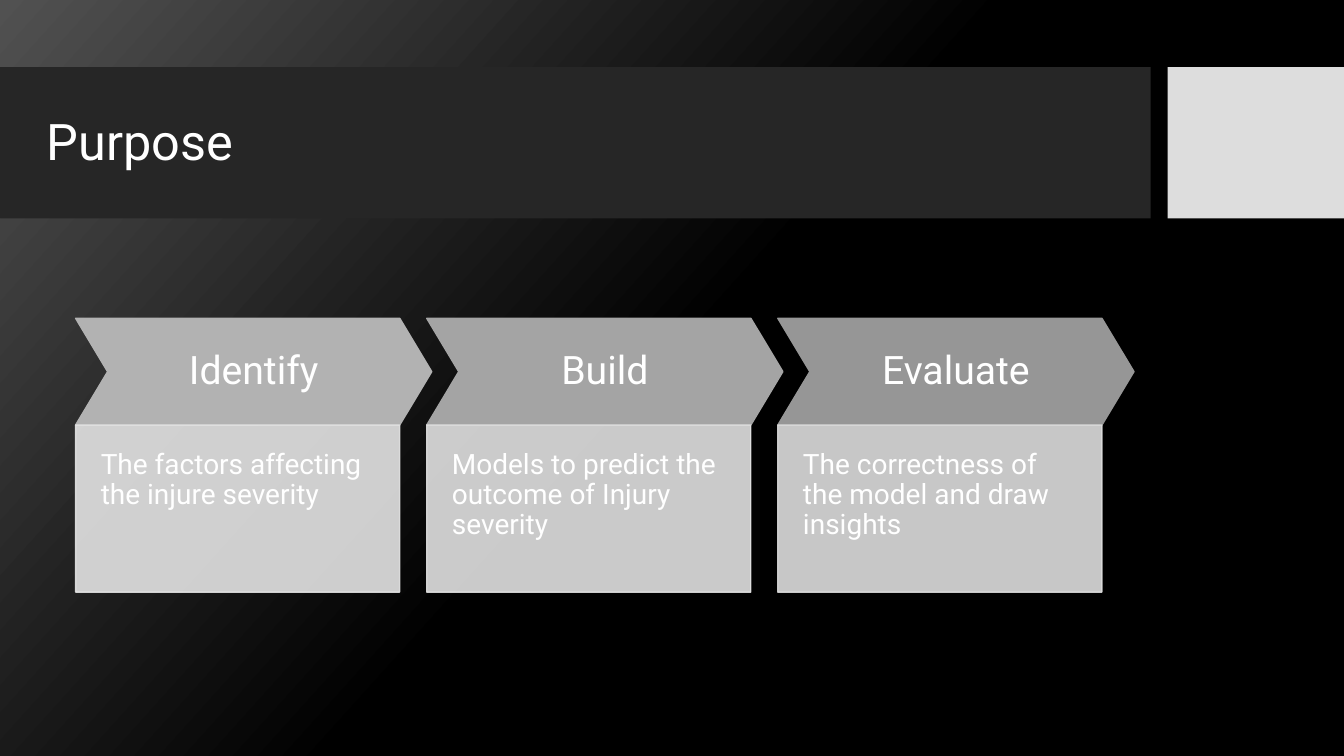
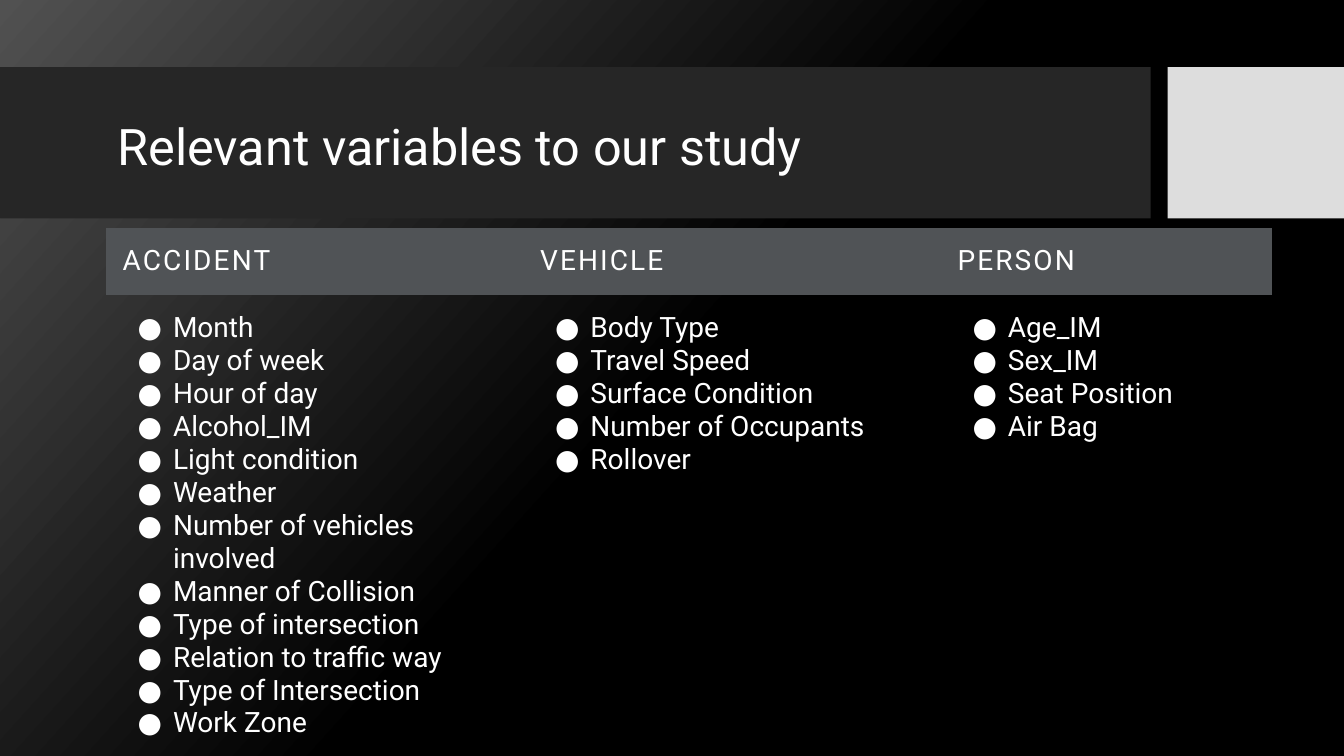
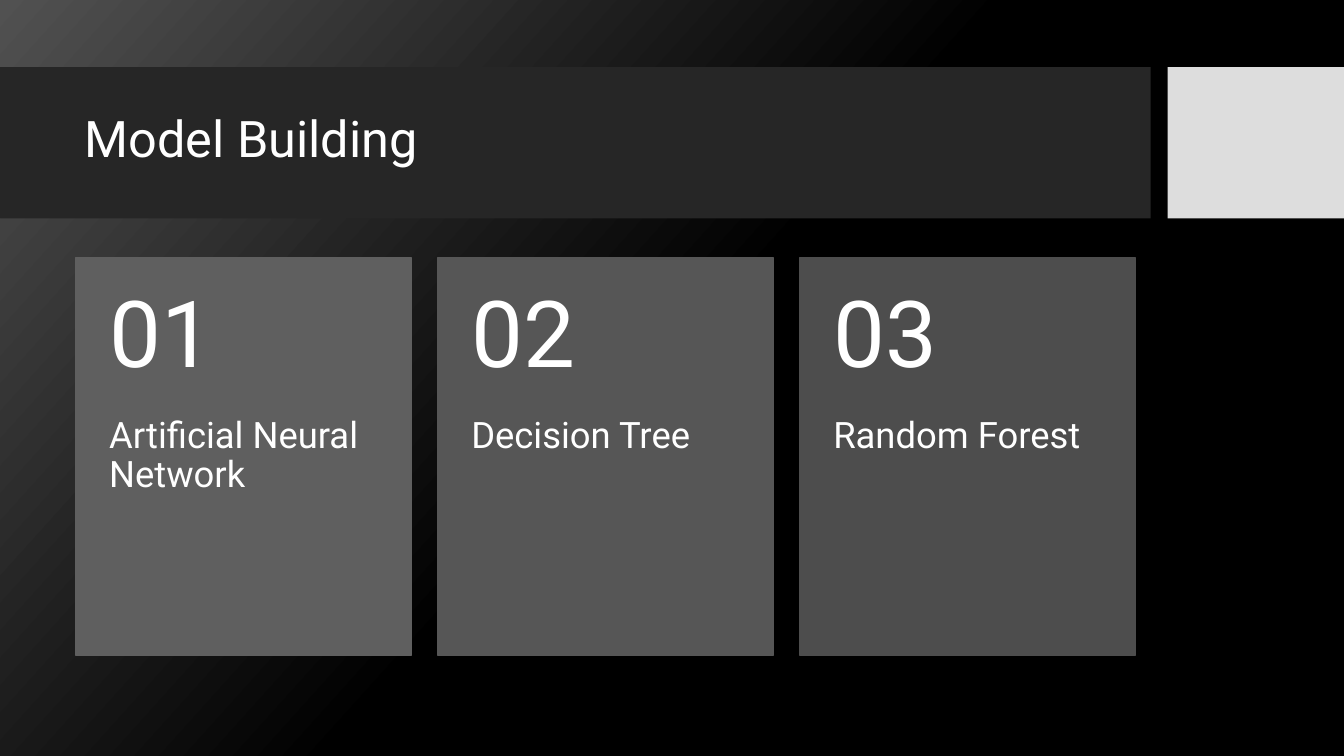
from dataclasses import dataclass

from lxml.etree import SubElement
from pptx import Presentation
from pptx.dml.color import RGBColor as RGB
from pptx.enum.shapes import MSO_SHAPE as SHAPE
from pptx.enum.text import MSO_ANCHOR as ANCHOR, PP_ALIGN as ALIGN
from pptx.oxml.ns import qn
from pptx.util import Emu, Inches, Pt


@dataclass(frozen=True)
class Theme:
    """Colours, type and grid shared by all slides."""
    font: str = "Roboto"
    text: str = "FFFFFF"
    glow: str = "515151"
    backdrop: str = "000000"
    band: str = "262626"
    accent: str = "DDDDDD"
    table_head: str = "505356"
    steps: tuple = ("B2B2B2", "A4A4A4", "969696")
    details: tuple = ("E4E4E4", "E1E1E1", "DDDDDD")
    cards: tuple = ("5F5F5F", "565656", "4D4D4D")
    title_size: int = 36
    step_size: int = 28
    body_size: int = 20
    label_size: int = 26
    number_size: int = 66
    columns: int = 160
    rows: int = 90
    plain_table: str = "{2D5ABB26-0587-4C30-8999-92F81FD0307C}"


def grid(*cells):
    """Turn grid cells, twelve to the inch, into lengths."""
    return [Emu(round(cell * Inches(1) / 12)) for cell in cells]


class Deck:
    """Draws the elements of the deck on its current slide."""

    def __init__(self, theme):
        self.theme = theme
        self.show = Presentation()
        self.show.slide_width, self.show.slide_height = grid(theme.columns, theme.rows)
        self.slide = None

    def new_slide(self, title, left, middle):
        """Start a slide with its backdrop, band and title."""
        theme = self.theme
        self.slide = self.show.slides.add_slide(self.show.slide_layouts[6])
        fill = self.slide.background.fill
        fill.gradient()
        fill.gradient_angle = 360 - 42
        for stop, colour, position in zip(
                fill.gradient_stops, (theme.glow, theme.backdrop), (0, 0.5)):
            stop.color.rgb = RGB.from_string(colour)
            stop.position = position
        self.block((0, 8, 137, 18), theme.band)
        self.block((139, 8, 21, 18), theme.accent)
        self.label((left, middle - 7, 110, 14), title, theme.title_size,
                   (1.2, 0.6, 1.2, 0.6), ANCHOR.MIDDLE)

    def block(self, box, colour, kind=SHAPE.RECTANGLE, outline=False, opacity=100):
        """Add a flat preset shape."""
        shape = self.slide.shapes.add_shape(kind, *grid(*box))
        shape.shadow.inherit = False
        shape.fill.solid()
        shape.fill.fore_color.rgb = RGB.from_string(colour)
        if outline:
            shape.line.color.rgb = RGB.from_string(colour)
            shape.line.width = Pt(1)
        else:
            shape.line.fill.background()
        if opacity < 100:
            for paint in shape._element.spPr.iter(qn("a:srgbClr")):
                SubElement(paint, qn("a:alpha")).set("val", str(opacity * 1000))
        return shape

    def label(self, box, text, size, insets, anchor=ANCHOR.TOP):
        """Add a text box."""
        frame = self.slide.shapes.add_textbox(*grid(*box)).text_frame
        self.set_text(frame, text, size, insets, anchor)

    def set_text(self, frame, text, size, insets, anchor=ANCHOR.TOP, align=ALIGN.LEFT):
        """Fill a text frame with tightly set text."""
        frame.text = text
        frame.word_wrap = True
        frame.vertical_anchor = anchor
        (frame.margin_left, frame.margin_top,
         frame.margin_right, frame.margin_bottom) = grid(*insets)
        for paragraph in frame.paragraphs:
            paragraph.alignment = align
            paragraph.line_spacing = 0.9
            self.style(paragraph, size)

    def style(self, paragraph, size):
        """Give the runs of a paragraph the theme's type."""
        for run in paragraph.runs:
            run.font.name = self.theme.font
            run.font.size = Pt(size)
            run.font.color.rgb = RGB.from_string(self.theme.text)

    def step(self, index, heading, detail):
        """Add a chevron with its detail panel below."""
        theme = self.theme
        left, top, width, height = 9 + 41.8 * index, 37.9, 42.4, 12.7
        point = 0.3 * height
        chevron = self.block((left, top, width, height), theme.steps[index],
                             SHAPE.CHEVRON, outline=True)
        chevron.adjustments[0] = 0.3
        self.set_text(chevron.text_frame, heading, theme.step_size, (1.6,) * 4,
                      ANCHOR.MIDDLE, ALIGN.CENTER)
        panel = self.block((left, top + height, width - point, 19.9),
                           theme.details[index], outline=True, opacity=90)
        self.set_text(panel.text_frame, detail, theme.body_size, (3, 3, 3, 6.1))

    def card(self, index, name):
        """Add a numbered card."""
        theme = self.theme
        left, top, width, height = 9 + 43.1 * index, 30.7, 40, 47.3
        split = 0.4 * height
        self.block((left, top, width, height), theme.cards[index], outline=True)
        self.label((left, top + split, width, height - split), name,
                   theme.label_size, (4, 0, 4, 4.3))
        self.label((left, top, width, split), f"{index + 1:02}",
                   theme.number_size, (4, 2.2, 4, 2.2), ANCHOR.MIDDLE)

    def list_table(self, lists, left, top, widths, heights):
        """Add a table with a bulleted list under each heading."""
        theme = self.theme
        table = self.slide.shapes.add_table(
            2, len(lists), *grid(left, top, sum(widths), sum(heights))).table
        table.horz_banding = False
        table._tbl.tblPr.find(qn("a:tableStyleId")).text = theme.plain_table
        for row, height in zip(table.rows, grid(*heights)):
            row.height = height
        for index, (heading, items) in enumerate(lists.items()):
            table.columns[index].width = grid(widths[index])[0]
            head, body = table.cell(0, index), table.cell(1, index)
            head.text_frame.text = heading
            head.fill.solid()
            head.fill.fore_color.rgb = RGB.from_string(theme.table_head)
            body.text_frame.text = "\n".join(items)
            body.fill.background()
            for cell in (head, body):
                (cell.margin_left, cell.margin_top,
                 cell.margin_right, cell.margin_bottom) = grid(2, 2, 2, 2)
                for paragraph in cell.text_frame.paragraphs:
                    self.style(paragraph, theme.body_size)
            for run in head.text_frame.paragraphs[0].runs:
                run._r.get_or_add_rPr().set("spc", "150")
            for paragraph in body.text_frame.paragraphs:
                self.bullet(paragraph)

    def bullet(self, paragraph):
        """Give a paragraph a round bullet and a hanging indent."""
        margin, hang = grid(6, -4.2)
        settings = paragraph._p.get_or_add_pPr()
        settings.set("marL", str(int(margin)))
        settings.set("indent", str(int(hang)))
        SubElement(settings, qn("a:buFont")).set("typeface", self.theme.font)
        SubElement(settings, qn("a:buChar")).set("char", "●")


STEPS = {
    "Identify": "The factors affecting the injure severity",
    "Build": "Models to predict the outcome of Injury severity",
    "Evaluate": "The correctness of the model and draw insights",
}
VARIABLES = {
    "ACCIDENT": [
        "Month", "Day of week", "Hour of day", "Alcohol_IM", "Light condition",
        "Weather", "Number of vehicles involved", "Manner of Collision",
        "Type of intersection", "Relation to traffic way",
        "Type of Intersection", "Work Zone"],
    "VEHICLE": [
        "Body Type", "Travel Speed", "Surface Condition",
        "Number of Occupants", "Rollover"],
    "PERSON": ["Age_IM", "Sex_IM", "Seat Position", "Air Bag"],
}
MODELS = ["Artificial Neural Network", "Decision Tree", "Random Forest"]


def main():
    """Build the three slides."""
    deck = Deck(Theme())
    deck.new_slide("Purpose", 4.4, 17.2)
    for index, (heading, detail) in enumerate(STEPS.items()):
        deck.step(index, heading, detail)
    deck.new_slide("Relevant variables to our study", 12.8, 17.7)
    deck.list_table(VARIABLES, 12.6, 27.1, (49.7, 49.7, 39.4), (6.2, 46))
    deck.new_slide("Model Building", 8.9, 16.8)
    for index, name in enumerate(MODELS):
        deck.card(index, name)
    deck.show.save("out.pptx")


if __name__ == "__main__":
    main()
